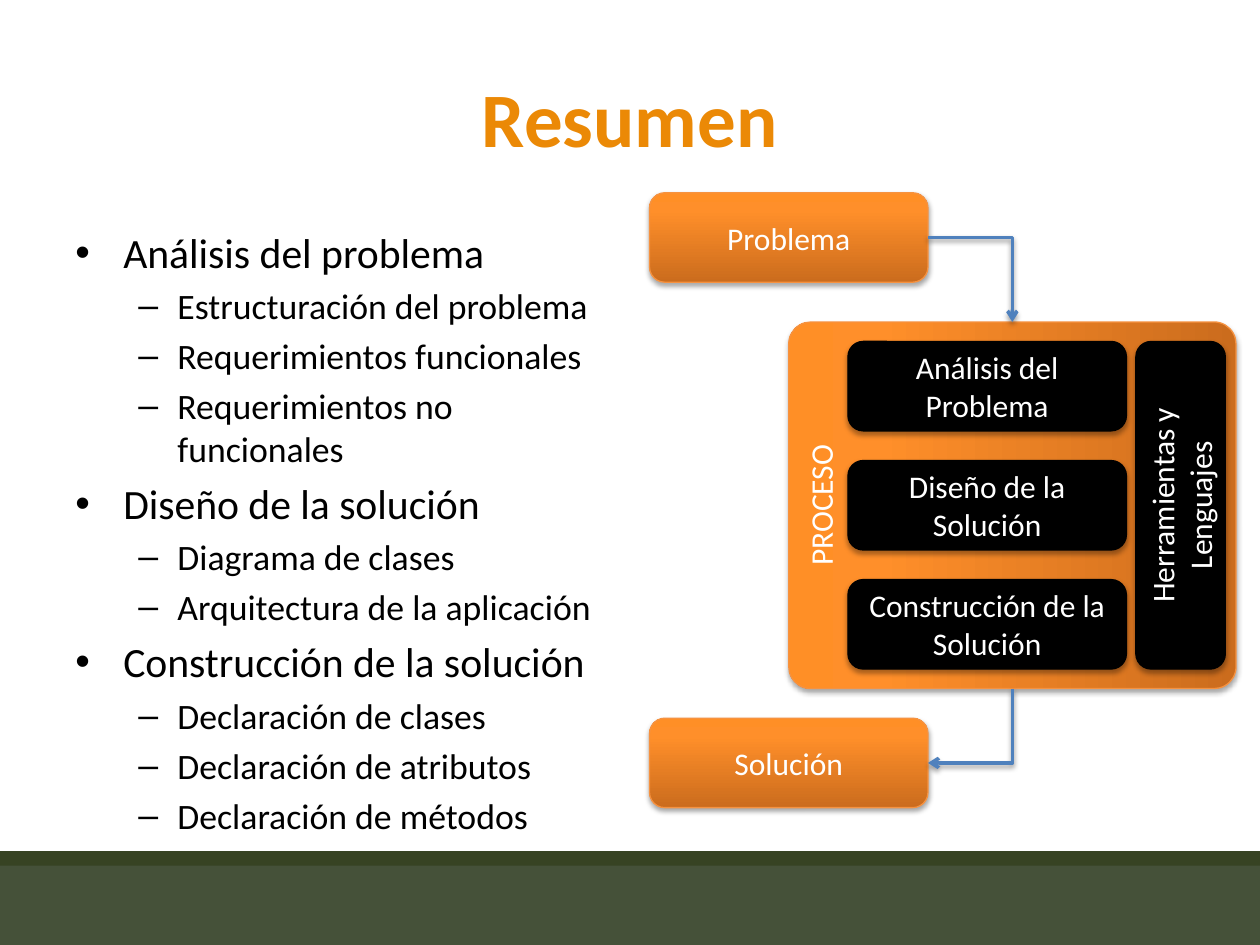
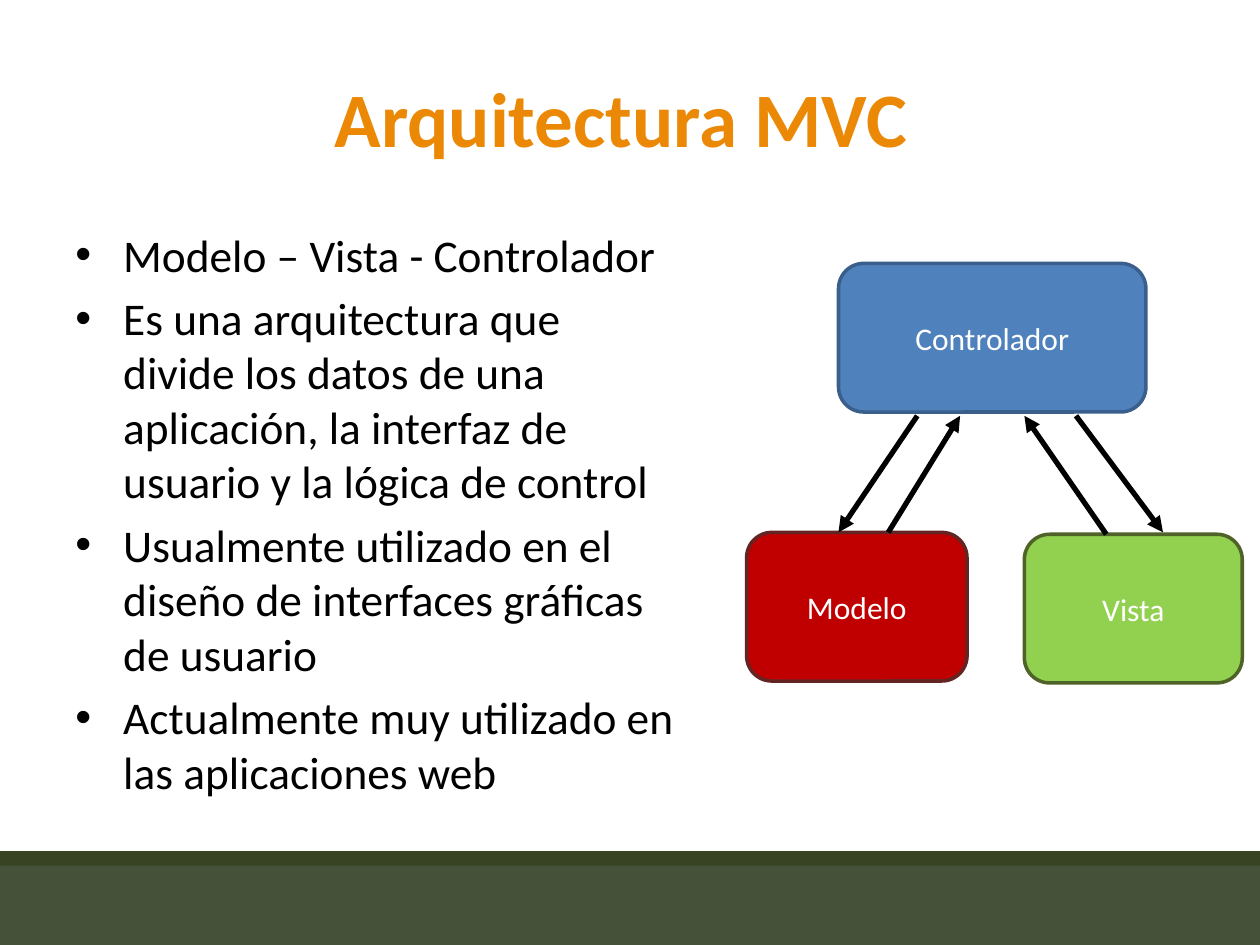
from lxml import etree
from pptx import Presentation
from pptx.dml.color import RGBColor
from pptx.enum.shapes import MSO_CONNECTOR, MSO_SHAPE
from pptx.enum.text import MSO_ANCHOR, PP_ALIGN
from pptx.oxml import parse_xml
from pptx.oxml.ns import nsdecls, qn
from pptx.util import Inches, Pt

RECTANGLE, ROUNDED = MSO_SHAPE.RECTANGLE, MSO_SHAPE.ROUNDED_RECTANGLE
STRAIGHT, ELBOW = MSO_CONNECTOR.STRAIGHT, MSO_CONNECTOR.ELBOW
TOP, MIDDLE = MSO_ANCHOR.TOP, MSO_ANCHOR.MIDDLE
CENTER = PP_ALIGN.CENTER

FONT, BULLET_FONT = "Calibri", "Arial"
WHITE = RGBColor(0xFF, 0xFF, 0xFF)
BLACK = RGBColor(0x00, 0x00, 0x00)
TITLE_ORANGE = RGBColor(0xEB, 0x89, 0x06)
EDGE_ORANGE = RGBColor(0xF6, 0x92, 0x40)
DARK_GREEN = RGBColor(0x37, 0x43, 0x23)
MOSS_GREEN = RGBColor(0x45, 0x51, 0x39)
BLUE = RGBColor(0x4F, 0x81, 0xBD)
DARK_BLUE = RGBColor(0x3A, 0x5F, 0x8C)
RED = RGBColor(0xC0, 0x00, 0x00)
DARK_RED = RGBColor(0x63, 0x25, 0x23)
LIME = RGBColor(0x92, 0xD0, 0x50)
OLIVE = RGBColor(0x4F, 0x62, 0x28)
ORANGE_STOPS = [
    (0, RGBColor(0xCB, 0x6C, 0x1D)),
    (80, RGBColor(0xFF, 0x8F, 0x2A)),
    (100, RGBColor(0xFF, 0x8F, 0x26)),
]

# The slide is a grid of 100 columns by 75 rows.
COLUMNS, ROWS = 100, 75
CELL = Inches(10) // COLUMNS

BULLETS = [("•", 0.38, 0.38), ("–", 0.81, 0.31)]  # sign, indent, hanging

SUMMARY = [
    (0, "Análisis del problema"),
    (1, "Estructuración del problema"),
    (1, "Requerimientos funcionales"),
    (1, "Requerimientos no funcionales"),
    (0, "Diseño de la solución"),
    (1, "Diagrama de clases"),
    (1, "Arquitectura de la aplicación"),
    (0, "Construcción de la solución"),
    (1, "Declaración de clases"),
    (1, "Declaración de atributos"),
    (1, "Declaración de métodos"),
]
MVC_POINTS = [
    (0, "Modelo – Vista - Controlador"),
    (0, "Es una arquitectura que divide los datos de una aplicación, "
        "la interfaz de usuario y la lógica de control"),
    (0, "Usualmente utilizado en el diseño de interfaces gráficas de usuario"),
    (0, "Actualmente muy utilizado en las aplicaciones web"),
]
STEPS = ["Análisis del Problema", "Diseño de la Solución",
         "Construcción de la Solución"]


def grid(*cells):
    return [round(cell * CELL) for cell in cells]


def style(paragraph, size, color, bold=False):
    font = paragraph.font
    font.name, font.size, font.bold = FONT, Pt(size), bold
    font.color.rgb = color


def add_band(slide, top, height, color):
    band = slide.shapes.add_shape(RECTANGLE, *grid(0, top, COLUMNS, height))
    band.shadow.inherit = False
    band.fill.solid()
    band.fill.fore_color.rgb = color
    band.line.fill.background()


def add_base_slide(deck, title):
    slide = deck.slides.add_slide(deck.slide_layouts[6])
    add_band(slide, 67.55, 1.2, DARK_GREEN)
    add_band(slide, 68.7, ROWS - 68.7, MOSS_GREEN)
    frame = slide.shapes.add_textbox(*grid(5, 3, 90, 12.5)).text_frame
    frame.word_wrap = True
    frame.vertical_anchor = MIDDLE
    heading = frame.paragraphs[0]
    heading.text, heading.alignment = title, CENTER
    style(heading, 44, TITLE_ORANGE, bold=True)
    return slide


def add_bullets(slide, width, sizes, points):
    """List (level, text) points, with one font size for each level."""
    frame = slide.shapes.add_textbox(*grid(5, 17.5, width, 49.5)).text_frame
    frame.word_wrap = True
    for index, (level, text) in enumerate(points):
        point = frame.add_paragraph() if index else frame.paragraphs[0]
        point.text, point.level = text, level
        point.space_before = Pt(0.2 * sizes[level])
        style(point, sizes[level], BLACK)
        sign, indent, hanging = BULLETS[level]
        properties = point._p.get_or_add_pPr()
        properties.set("marL", str(Inches(indent)))
        properties.set("indent", str(-Inches(hanging)))
        defaults = properties.find(qn("a:defRPr"))
        for tag in (f'buFont {nsdecls("a")} typeface="{BULLET_FONT}"',
                    f'buChar {nsdecls("a")} char="{sign}"'):
            defaults.addprevious(parse_xml(f"<a:{tag}/>"))


def shade(shape, stops):
    """Fill from bottom to top through (percent, colour) stops."""
    shape.fill.gradient()
    gradient = shape._element.spPr.find(qn("a:gradFill"))
    gradient.set("rotWithShape", "1")
    for child in list(gradient):
        gradient.remove(child)
    stop_list = etree.SubElement(gradient, qn("a:gsLst"))
    for percent, color in stops:
        stop = etree.SubElement(stop_list, qn("a:gs"), pos=str(percent * 1000))
        etree.SubElement(stop, qn("a:srgbClr"), val=str(color))
    etree.SubElement(gradient, qn("a:lin"), ang="16200000", scaled="0")


def set_effects(element, shadow_opacity=0, distance=0):
    """Replace the theme's effects by a soft shadow below, or by none."""
    properties = element._element.spPr
    for effects in properties.findall(qn("a:effectLst")):
        properties.remove(effects)
    effects = etree.SubElement(properties, qn("a:effectLst"))
    if shadow_opacity:
        shadow = etree.SubElement(
            effects, qn("a:outerShdw"), blurRad=str(Pt(3.1)),
            dist=str(Pt(distance)), dir="5400000", rotWithShape="0")
        color = etree.SubElement(shadow, qn("a:srgbClr"), val=str(BLACK))
        etree.SubElement(color, qn("a:alpha"), val=str(shadow_opacity * 1000))


def add_box(slide, text, frame, fill, edge, edge_width=0.75, shadow=True,
            upward=False, anchor=MIDDLE, corner=0.17):
    """Draw a rounded box in the visible frame; upward text turns it 270°."""
    left, top, width, height = frame
    if upward:
        left, top = left + (width - height) / 2, top + (height - width) / 2
        width, height = height, width
    box = slide.shapes.add_shape(ROUNDED, *grid(left, top, width, height))
    box.rotation = 270 if upward else 0
    box.adjustments[0] = corner
    if isinstance(fill, list):
        shade(box, fill)
    else:
        box.fill.solid()
        box.fill.fore_color.rgb = fill
    box.line.color.rgb = edge
    box.line.width = Pt(edge_width)
    if shadow:
        set_effects(box, 35, 1.8)
    else:
        set_effects(box)
    box.text_frame.word_wrap = True
    box.text_frame.vertical_anchor = anchor
    label = box.text_frame.paragraphs[0]
    label.text, label.alignment = text, CENTER
    style(label, 18, WHITE)


def finish_arrow(arrow, color, width, head):
    arrow.line.color.rgb = color
    arrow.line.width = Pt(width)
    etree.SubElement(arrow.line._get_or_add_ln(), qn("a:tailEnd"), type=head)


def add_arrow(slide, start, end):
    arrow = slide.shapes.add_connector(STRAIGHT, *grid(*start, *end))
    finish_arrow(arrow, BLACK, 3, "triangle")
    set_effects(arrow)


def add_bent_arrow(slide, start, end, down_first=False):
    """Turn one corner: right then down, or down then left."""
    (x1, y1), (x2, y2) = start, end
    if down_first:
        middle_x, middle_y = (x1 + x2) / 2, (y1 + y2) / 2
        half_width, half_height = abs(y2 - y1) / 2, abs(x2 - x1) / 2
        x1, x2 = middle_x - half_width, middle_x + half_width
        y1, y2 = middle_y - half_height, middle_y + half_height
    arrow = slide.shapes.add_connector(ELBOW, *grid(x1, y1, x2, y2))
    properties = arrow._element.spPr
    properties.find(qn("a:prstGeom")).set("prst", "bentConnector2")
    if down_first:
        properties.find(qn("a:xfrm")).set("rot", "5400000")
    finish_arrow(arrow, BLUE, 2, "arrow")
    set_effects(arrow, 38, 1.6)


def build_summary(deck):
    slide = add_base_slide(deck, "Resumen")
    add_bullets(slide, 44.2, [23.8, 20.4], SUMMARY)
    box_height, box_width = 7.1, 22.1
    first_step, step_pitch = 27.1, 9.45
    add_box(slide, "PROCESO", (62.6, 25.55, 35.5, 29.1), ORANGE_STOPS,
            EDGE_ORANGE, upward=True, anchor=TOP, corner=0.06)
    for text, top in (("Problema", 15.3), ("Solución", 57)):
        add_box(slide, text, (51.55, top, box_width, box_height),
                ORANGE_STOPS, EDGE_ORANGE)
    for row, text in enumerate(STEPS):
        top = first_step + row * step_pitch
        add_box(slide, text, (67.3, top, box_width, box_height), BLACK, BLACK)
    add_box(slide, "Herramientas y Lenguajes",
            (90.15, first_step, box_height, 2 * step_pitch + box_height),
            BLACK, BLACK, upward=True)
    add_bent_arrow(slide, (73.65, 18.85), (80.35, 25.55))
    add_bent_arrow(slide, (80.35, 54.65), (73.65, 60.55), down_first=True)


def build_mvc(deck):
    slide = add_base_slide(deck, "Arquitectura MVC ")
    add_bullets(slide, 49.7, [25.9], MVC_POINTS)
    components = [
        ("Controlador", 66.55, 20.9, 24.4, BLUE, DARK_BLUE),
        ("Modelo", 59.25, 42.25, 17.5, RED, DARK_RED),
        ("Vista", 81.3, 42.4, 17.3, LIME, OLIVE),
    ]
    for text, left, top, width, fill, edge in components:
        add_box(slide, text, (left, top, width, 11.8), fill, edge,
                edge_width=2, shadow=False)
    upper, lower = 33, 42.25
    add_arrow(slide, (72.8, upper), (66.55, lower))
    add_arrow(slide, (85.4, upper), (92.3, lower))
    add_arrow(slide, (70.5, lower), (76.2, upper))
    add_arrow(slide, (87.8, 42.4), (81.3, upper))


def main():
    deck = Presentation()
    deck.slide_width, deck.slide_height = grid(COLUMNS, ROWS)
    build_summary(deck)
    build_mvc(deck)
    deck.save("out.pptx")


if __name__ == "__main__":
    main()
